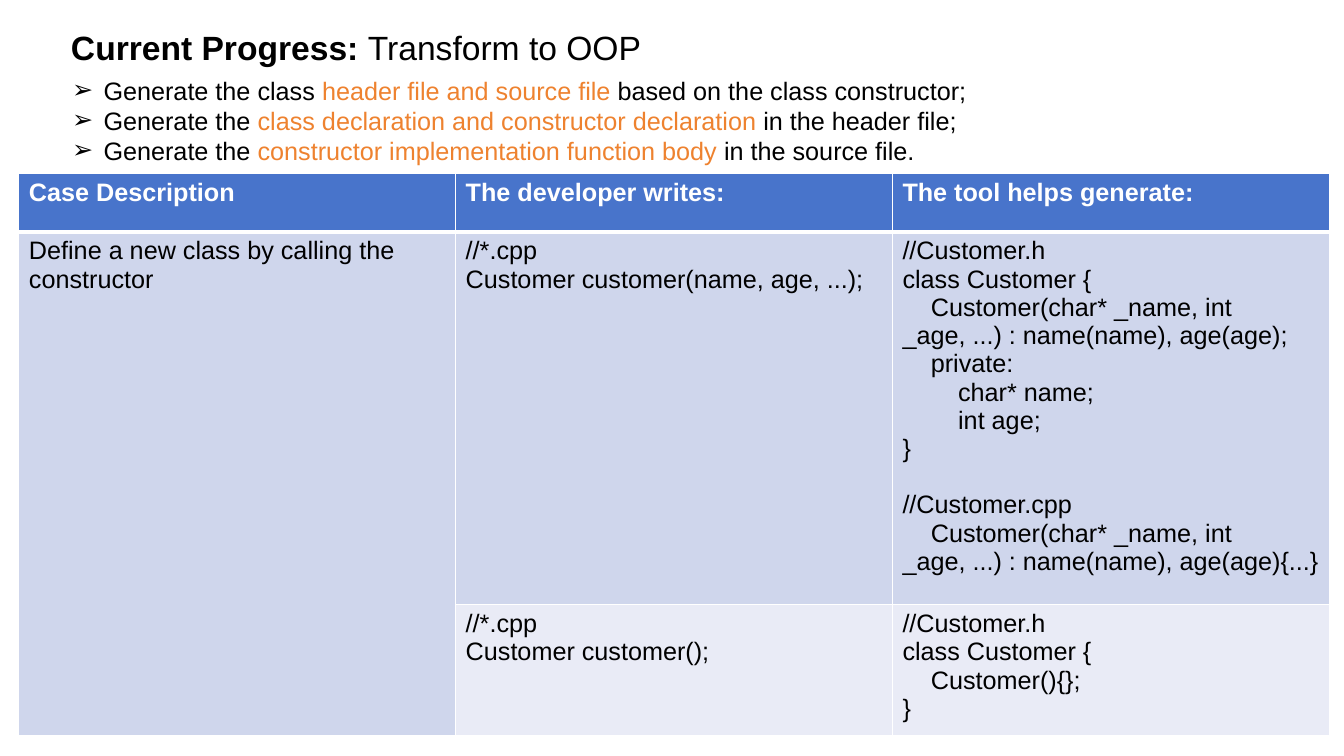
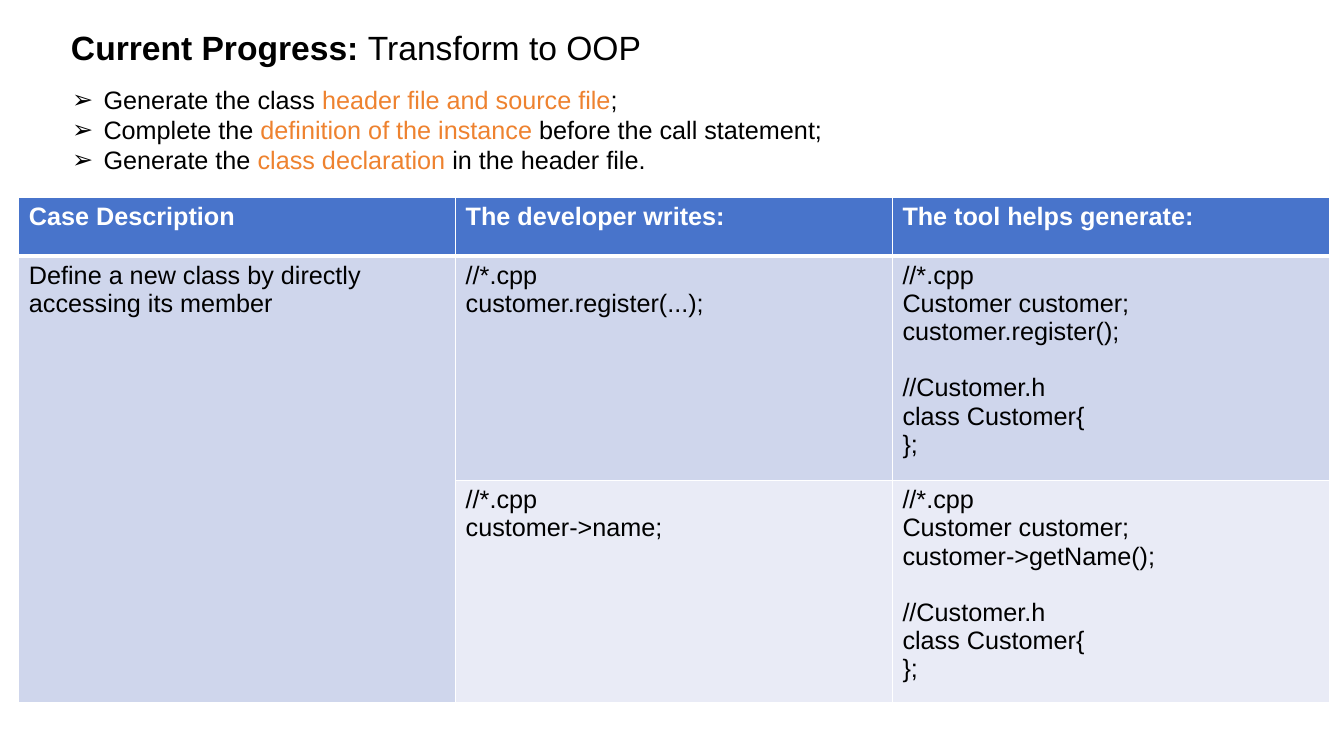
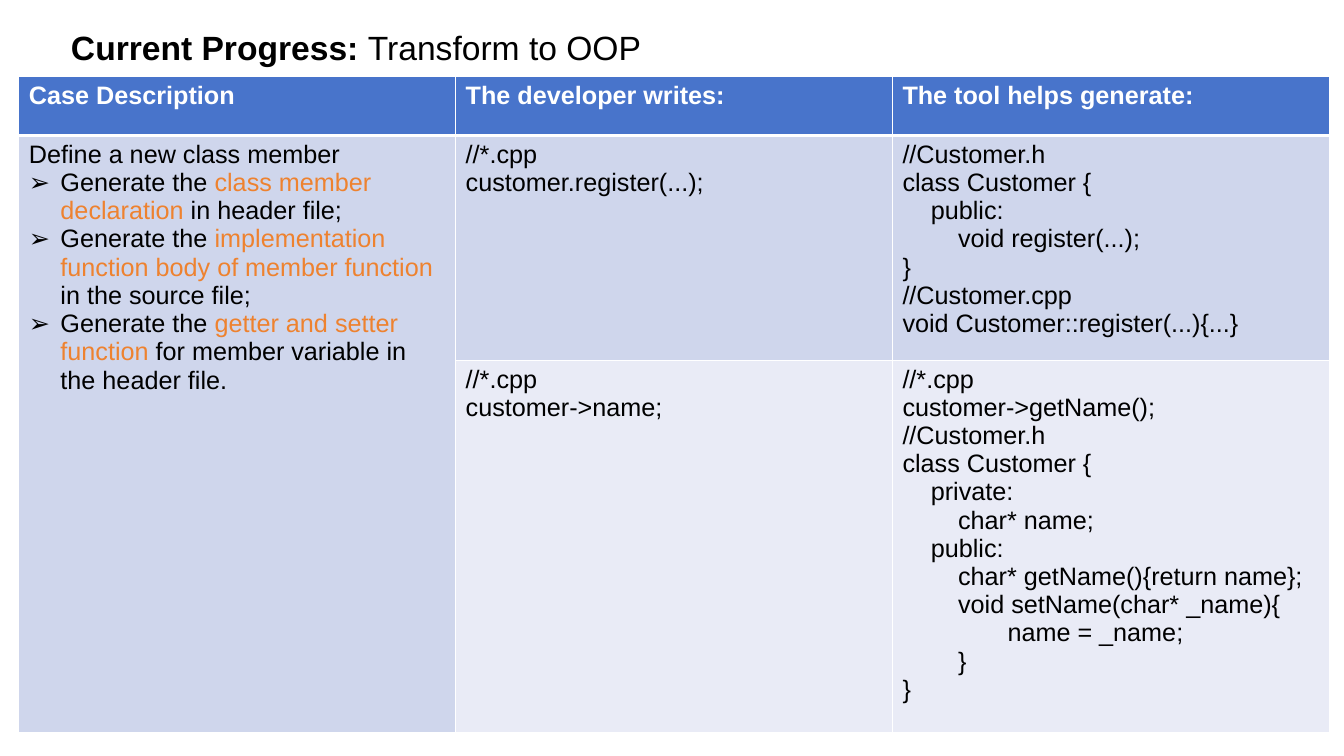
from dataclasses import dataclass
from typing import Any

import pptx
import pptx.dml.color
import pptx.enum.text
import pptx.oxml.ns
import pptx.util
from lxml import etree

PX = 9525
FONT = "Arial"
BLACK, WHITE, ORANGE = "000000", "FFFFFF", "EE822F"
ROW_FILLS = ("4874CB", "CFD6EC", "E9EBF6")
HEADERS = ("Case Description", "The developer writes:", "The tool helps generate:")
TABLE_LEFT, COLUMN_W, HEADER_H = 18, 416, 56
BULLET_INDENT = 30
CODE_INDENT, CODE_INDENT_2, CODE_INDENT_3 = 27, 53, 100
LINE_GAP = pptx.util.Pt(20.1)
LIST_LINE = pptx.util.Pt(21.4)
FRAME_FORMAT = {
    "word_wrap": True,
    "auto_size": pptx.enum.text.MSO_AUTO_SIZE.NONE,
    "vertical_anchor": pptx.enum.text.MSO_ANCHOR.TOP,
}
PARAGRAPH_FORMAT = {
    "alignment": pptx.enum.text.PP_ALIGN.LEFT,
    "space_before": pptx.util.Pt(0),
    "space_after": pptx.util.Pt(0),
}


@dataclass(frozen=True)
class Line:
    """One paragraph; text between a pair of | marks is highlighted."""
    text: str
    indent: int = 0
    bullet: bool = False
    gap: bool = False


@dataclass(frozen=True)
class Example:
    height: int
    written: list[Line]
    generated: list[Line]


@dataclass(frozen=True)
class Page:
    list_top: int
    points: list[Line]
    table_top: int
    case: list[Line]
    examples: list[Example]


def px(n: int) -> pptx.util.Emu:
    return pptx.util.Emu(n * PX)


def rgb(value: str) -> pptx.dml.color.RGBColor:
    return pptx.dml.color.RGBColor.from_string(value)


def apply(obj: Any, values: dict[str, Any]) -> None:
    for name, value in values.items():
        setattr(obj, name, value)


def place(sp: Any, left: int, top: int, width: int, height: int) -> None:
    apply(sp, {"left": px(left), "top": px(top), "width": px(width), "height": px(height)})


def add_run(p: Any, text: str, color: str, size: int = 18, bold: bool = False) -> None:
    r = p.add_run()
    r.text = text
    apply(r.font, {"name": FONT, "size": pptx.util.Pt(size), "bold": bold})
    r.font.color.rgb = rgb(color)


def add_child(parent: Any, tag: str, **attributes: str) -> Any:
    return etree.SubElement(parent, pptx.oxml.ns.qn(tag), attributes)


def write_lines(tf: Any, lines: list[Line], color: str = BLACK, bold: bool = False,
                line_spacing: Any = 1.0) -> None:
    for i, line in enumerate(lines):
        p = tf.paragraphs[0] if i == 0 else tf.add_paragraph()
        apply(p, PARAGRAPH_FORMAT | {"line_spacing": line_spacing})
        if line.gap:
            p.space_before = LINE_GAP
        pPr = p._p.get_or_add_pPr()
        margin, first = (BULLET_INDENT, -BULLET_INDENT) if line.bullet else (0, line.indent)
        pPr.set("marL", str(px(margin)))
        pPr.set("indent", str(px(first)))
        if line.bullet:
            add_child(pPr, "a:buFont", typeface=FONT)
            add_child(pPr, "a:buChar", char="➢")
        for j, part in enumerate(line.text.split("|")):
            if part:
                add_run(p, part, ORANGE if j % 2 else color, bold=bold)


def add_title(s: Any) -> None:
    sp = s.shapes.title
    place(sp, 58, 21, 998, 48)
    tf = sp.text_frame
    apply(tf, FRAME_FORMAT)
    p = tf.paragraphs[0]
    apply(p, PARAGRAPH_FORMAT)
    add_run(p, "Current Progress: ", BLACK, 24, True)
    add_run(p, "Transform to OOP", BLACK, 24)


def add_points(s: Any, top: int, points: list[Line]) -> None:
    sp = s.placeholders[1]
    place(sp, 59, top, 1186, 97)
    apply(sp.text_frame, FRAME_FORMAT)
    write_lines(sp.text_frame, points, line_spacing=LIST_LINE)


def style_cell(cell: Any, row: int) -> None:
    """Draw white borders, thick under the header, and the row's fill."""
    tcPr = cell._tc.get_or_add_tcPr()
    widths = {"L": 1, "R": 1, "T": 3 if row == 1 else 1, "B": 3 if row == 0 else 1}
    for side, width in widths.items():
        ln = add_child(tcPr, f"a:ln{side}", w=str(pptx.util.Pt(width)))
        add_child(add_child(ln, "a:solidFill"), "a:srgbClr", val=WHITE)
    cell.fill.solid()
    cell.fill.fore_color.rgb = rgb(ROW_FILLS[row])


def add_case_table(s: Any, page: Page) -> None:
    heights = [HEADER_H] + [example.height for example in page.examples]
    columns = len(HEADERS)
    table = s.shapes.add_table(len(heights), columns, px(TABLE_LEFT), px(page.table_top),
                               px(COLUMN_W * columns), px(sum(heights))).table
    for column in table.columns:
        column.width = px(COLUMN_W)
    for row, height in zip(table.rows, heights):
        row.height = px(height)
    for i in range(len(heights)):
        for j in range(columns):
            style_cell(table.cell(i, j), i)
    for j, header in enumerate(HEADERS):
        write_lines(table.cell(0, j).text_frame, [Line(header)], WHITE, True)
    case = table.cell(1, 0)
    case.merge(table.cell(len(page.examples), 0))
    write_lines(case.text_frame, page.case)
    for i, example in enumerate(page.examples, 1):
        write_lines(table.cell(i, 1).text_frame, example.written)
        write_lines(table.cell(i, 2).text_frame, example.generated)


def bullets(*texts: str) -> list[Line]:
    return [Line(text, bullet=True) for text in texts]


def cpp(statement: str) -> list[Line]:
    return [Line("//*.cpp"), Line(statement)]


def instance_code(call: str) -> list[Line]:
    return cpp("Customer customer;") + [
        Line(call),
        Line("//Customer.h", gap=True),
        Line("class Customer{"),
        Line("};"),
    ]


CLASS_HEADER = [Line("//Customer.h"), Line("class Customer {")]
CONSTRUCTOR = "Customer(char* _name, int _age, ...) : name(name), age(age)"

PAGES = [
    Page(
        67,
        bullets(
            "Generate the class |header file and source file| based on the class constructor;",
            "Generate the |class declaration and constructor declaration| in the header file;",
            "Generate the |constructor implementation function body| in the source file.",
        ),
        165,
        [Line("Define a new class by calling the constructor")],
        [
            Example(355, cpp("Customer customer(name, age, ...);"), CLASS_HEADER + [
                Line(CONSTRUCTOR + ";", CODE_INDENT),
                Line("private:", CODE_INDENT),
                Line("char* name;", CODE_INDENT_2),
                Line("int age;", CODE_INDENT_2),
                Line("}"),
                Line("//Customer.cpp", gap=True),
                Line(CONSTRUCTOR + "{...}", CODE_INDENT),
            ]),
            Example(125, cpp("Customer customer();"), CLASS_HEADER + [
                Line("Customer(){};", CODE_INDENT),
                Line("}"),
            ]),
        ],
    ),
    Page(
        76,
        bullets(
            "Generate the class |header file and source file|;",
            "Complete the |definition of the instance |before the call statement;",
            "Generate the |class declaration| in the header file.",
        ),
        188,
        [Line("Define a new class by directly accessing its member")],
        [
            Example(214, cpp("customer.register(...);"), instance_code("customer.register();")),
            Example(211, cpp("customer->name;"), instance_code("customer->getName();")),
        ],
    ),
    Page(
        0,
        [],
        73,
        [Line("Define a new class member")] + bullets(
            "Generate the |class member declaration| in header file;",
            "Generate the |implementation function body of member function| in the source file;",
            "Generate the |getter and setter function| for member variable in the header file.",
        ),
        [
            Example(214, cpp("customer.register(...);"), CLASS_HEADER + [
                Line("public:", CODE_INDENT),
                Line("void register(...);", CODE_INDENT_2),
                Line("}"),
                Line("//Customer.cpp"),
                Line("void Customer::register(...){...}"),
            ]),
            Example(355, cpp("customer->name;"), cpp("customer->getName();") + CLASS_HEADER + [
                Line("private:", CODE_INDENT),
                Line("char* name;", CODE_INDENT_2),
                Line("public:", CODE_INDENT),
                Line("char* getName(){return name};", CODE_INDENT_2),
                Line("void setName(char* _name){", CODE_INDENT_2),
                Line("name = _name;", CODE_INDENT_3),
                Line("}", CODE_INDENT_2),
                Line("}"),
            ]),
        ],
    ),
]


def main() -> None:
    prs = pptx.Presentation()
    apply(prs, {"slide_width": px(1280), "slide_height": px(720)})
    title_and_content, title_only = prs.slide_layouts[1], prs.slide_layouts[5]
    for page in PAGES:
        s = prs.slides.add_slide(title_and_content if page.points else title_only)
        add_title(s)
        if page.points:
            add_points(s, page.list_top, page.points)
        add_case_table(s, page)
    prs.save("out.pptx")


if __name__ == "__main__":
    main()
